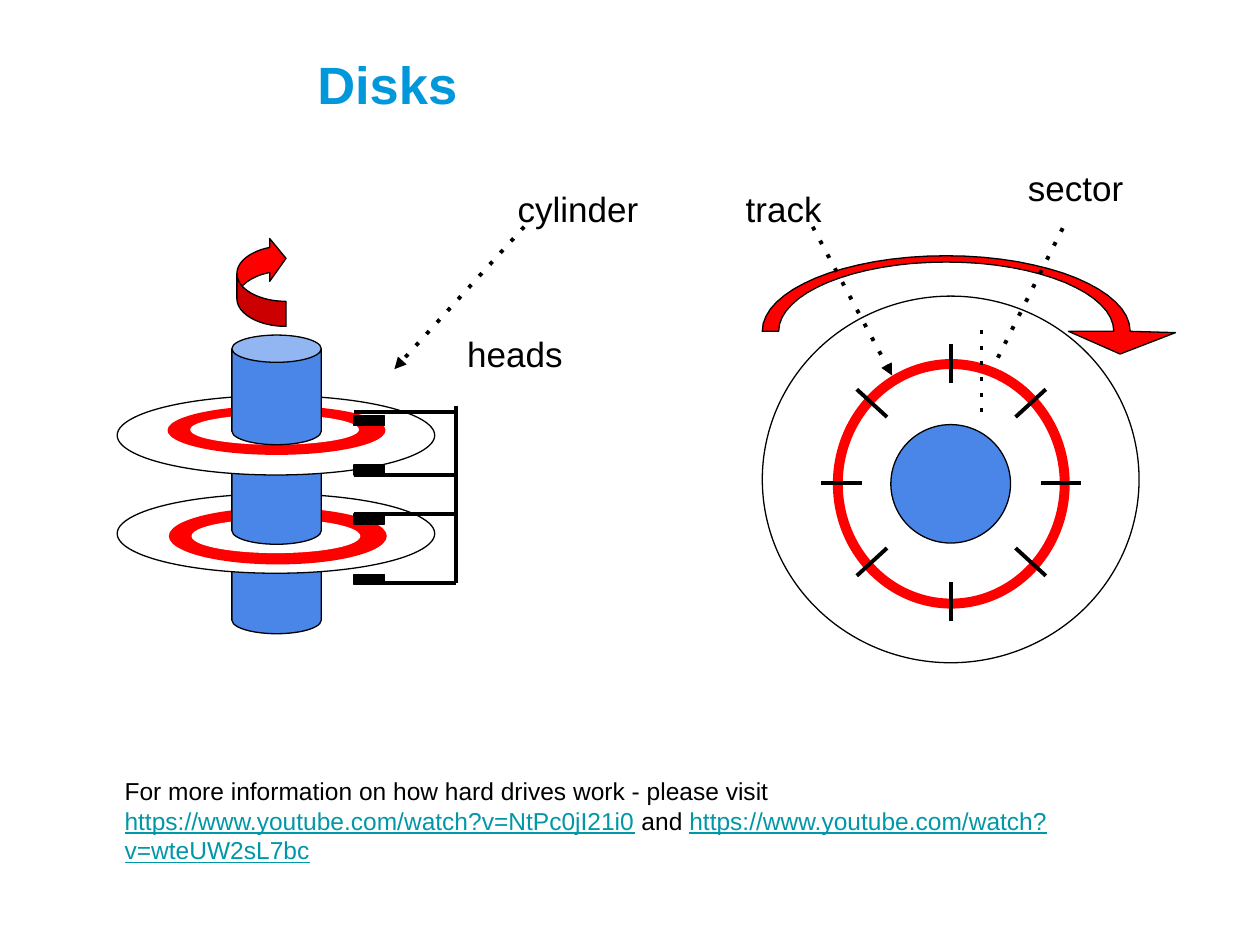
from itertools import product

from lxml import etree
from pptx import Presentation
from pptx import util as u
from pptx.dml.color import RGBColor
from pptx.enum import shapes, text
from pptx.oxml import ns

COLORS = {
    "black": "000000",
    "white": "FFFFFF",
    "red": "FF0000",
    "blue": "4A86E8",
    "title": "0098DB",
    "link": "0097A7",
}
KINDS = shapes.MSO_SHAPE
TRACK_CENTER = (7.55, 3.83)
UNITS_PER_INCH = 1000


def rgb(name):
    return RGBColor.from_string(COLORS[name])


def style_shape(shape, fill, outline):
    shape.shadow.inherit = False
    if fill:
        shape.fill.solid()
        shape.fill.fore_color.rgb = rgb(fill)
    else:
        shape.fill.background()
    if outline:
        shape.line.color.rgb = rgb("black")
        shape.line.width = u.Pt(0.75)
    else:
        shape.line.fill.background()


def add_shape(slide, kind, box, fill=None, outline=True, adjustments=(), rotation=0):
    shape = slide.shapes.add_shape(kind, *map(u.Inches, box))
    style_shape(shape, fill, outline)
    for index, value in enumerate(adjustments):
        shape.adjustments[index] = value
    shape.rotation = rotation


def add_line(slide, start, end, dotted=False, arrow=False):
    line = slide.shapes.add_connector(
        shapes.MSO_CONNECTOR.STRAIGHT, *map(u.Inches, (*start, *end)))
    line.line.color.rgb = rgb("black")
    line.line.width = u.Pt(2.25)
    outline = line._element.spPr.find(ns.qn("a:ln"))
    if dotted:
        etree.SubElement(outline, ns.qn("a:prstDash"), val="dot")
    if arrow:
        etree.SubElement(outline, ns.qn("a:tailEnd"), type="triangle")
    etree.SubElement(line._element.spPr, ns.qn("a:effectLst"))


def add_text(slide, runs, box, size=20, color="black", bold=False,
             vertical_inset=0.05, anchor=text.MSO_ANCHOR.TOP):
    frame = slide.shapes.add_textbox(*map(u.Inches, box)).text_frame
    frame.word_wrap = True
    frame.vertical_anchor = anchor
    frame.margin_left = frame.margin_right = u.Inches(0.1)
    frame.margin_top = frame.margin_bottom = u.Inches(vertical_inset)
    for content, is_link in runs:
        run = frame.paragraphs[0].add_run()
        run.text = content
        run.font.name = "Arial"
        run.font.size = u.Pt(size)
        run.font.bold = bold
        run.font.underline = is_link
        run.font.color.rgb = rgb("link" if is_link else color)


def curve_points(start, control_1, control_2, end, steps=16):
    points = []
    for step in range(1, steps + 1):
        t = step / steps
        weights = ((1 - t) ** 3, 3 * t * (1 - t) ** 2, 3 * t * t * (1 - t), t ** 3)
        points.append(tuple(
            sum(weight * value for weight, value in zip(weights, values))
            for values in zip(start, control_1, control_2, end)))
    return points


def add_spin_arrow(slide):
    points = [(8.84, 2.63)]
    points += curve_points((8.84, 2.63), (8.84, 2.33), (8.25, 2.08), (7.51, 2.08))
    points += curve_points((7.51, 2.08), (6.77, 2.08), (6.18, 2.33), (6.18, 2.63))
    points.append((6.05, 2.63))
    points += curve_points((6.05, 2.63), (6.05, 2.3), (6.7, 2.03), (7.51, 2.03))
    points += curve_points((7.51, 2.03), (8.31, 2.03), (8.97, 2.3), (8.97, 2.63))
    points += [(9.33, 2.64), (8.89, 2.81), (8.48, 2.63)]
    scaled = [(round(x * UNITS_PER_INCH), round(y * UNITS_PER_INCH)) for x, y in points]
    builder = slide.shapes.build_freeform(*scaled[0], scale=u.Inches(1) / UNITS_PER_INCH)
    builder.add_line_segments(scaled[1:], close=True)
    style_shape(builder.convert_to_shape(), "red", True)


def add_spindle(slide, top):
    add_shape(slide, KINDS.CAN, (1.84, top, 0.71, 0.87), "blue", adjustments=[0.305])


def add_platter(slide, top, ring, hole):
    add_shape(slide, KINDS.OVAL, (0.93, top, 2.52, 0.63), "white")
    add_shape(slide, KINDS.OVAL, ring, "red", outline=False)
    add_shape(slide, KINDS.OVAL, hole, "white", outline=False)


def add_disk_stack(slide):
    add_spindle(slide, 4.16)
    add_platter(slide, 3.92, (1.34, 4.03, 1.73, 0.45), (1.52, 4.12, 1.34, 0.27))
    add_spindle(slide, 3.45)
    add_platter(slide, 3.14, (1.33, 3.22, 1.73, 0.39), (1.51, 3.29, 1.34, 0.24))
    add_spindle(slide, 2.66)
    add_shape(slide, KINDS.CURVED_LEFT_ARROW, (1.88, 1.88, 0.39, 0.71), "red",
              adjustments=[0.51, 0.871, 0.333], rotation=180)


def add_head_assembly(slide):
    for top in (3.3, 3.69, 4.08, 4.56):
        add_shape(slide, KINDS.RECTANGLE, (2.81, top, 0.24, 0.08), "black")
    add_line(slide, (3.62, 3.22), (3.62, 4.63))
    for y, left, right in ((3.27, 2.81, 3.6), (3.77, 2.81, 3.6),
                           (4.08, 2.81, 3.6), (4.63, 2.84, 3.62)):
        add_line(slide, (left, y), (right, y))


def add_disk_surface(slide):
    add_shape(slide, KINDS.OVAL, (6.05, 2.35, 2.99, 2.91))
    add_shape(slide, KINDS.DONUT, (6.61, 2.85, 1.88, 1.98), "red",
              outline=False, adjustments=[0.042])
    add_shape(slide, KINDS.OVAL, (7.07, 3.37, 0.95, 0.94), "blue")


def add_sector_marks(slide):
    center_x, center_y = TRACK_CENTER
    for x, y in product((-1, 0, 1), repeat=2):
        if x == y == 0:
            continue
        if x and y:
            inner, outer = (0.51, 0.52), (0.75, 0.74)
        else:
            inner, outer = (0.71, 0.79), (1.03, 1.1)
        add_line(slide,
                 (center_x + x * inner[0], center_y + y * inner[1]),
                 (center_x + x * outer[0], center_y + y * outer[1]))


def main():
    presentation = Presentation()
    presentation.slide_width = u.Inches(10)
    presentation.slide_height = u.Inches(7.5)
    slide = presentation.slides.add_slide(presentation.slide_layouts[6])

    add_disk_surface(slide)
    add_disk_stack(slide)
    add_text(slide, [("Disks", False)], (2.42, 0.32, 7.37, 0.69), size=30, color="title",
             bold=True, vertical_inset=0.1, anchor=text.MSO_ANCHOR.BOTTOM)
    add_head_assembly(slide)
    add_spin_arrow(slide)
    for label, box in (("heads", (3.61, 2.59, 1.73, 0.43)),
                       ("track", (5.82, 1.44, 1.34, 0.43)),
                       ("cylinder", (4.01, 1.44, 1.73, 0.43)),
                       ("sector", (8.06, 1.27, 1.56, 0.52))):
        add_text(slide, [(label, False)], box)
    add_line(slide, (4.16, 1.8), (3.13, 2.93), dotted=True, arrow=True)
    add_line(slide, (6.45, 1.8), (7.08, 2.98), dotted=True, arrow=True)
    add_sector_marks(slide)
    add_line(slide, (7.79, 2.62), (7.79, 3.36), dotted=True)
    add_line(slide, (7.92, 2.84), (8.44, 1.8), dotted=True)
    add_text(slide, [
        ("For more information on how hard drives work - please visit ", False),
        ("https://www.youtube.com/watch?v=NtPc0jI21i0", True),
        (" and ", False),
        ("https://www.youtube.com/watch?v=wteUW2sL7bc", True),
    ], (0.89, 6.06, 7.89, 1.12), size=14, vertical_inset=0.1)

    presentation.save("out.pptx")


if __name__ == "__main__":
    main()
